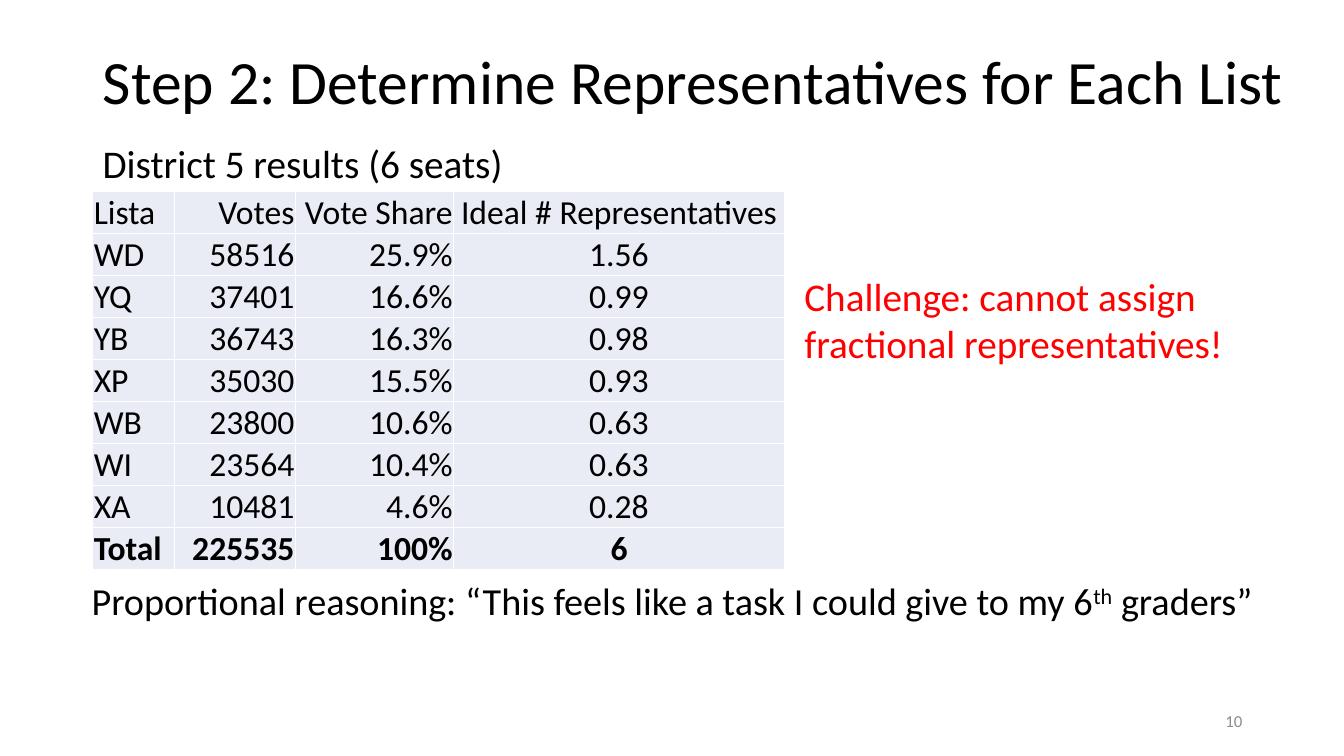
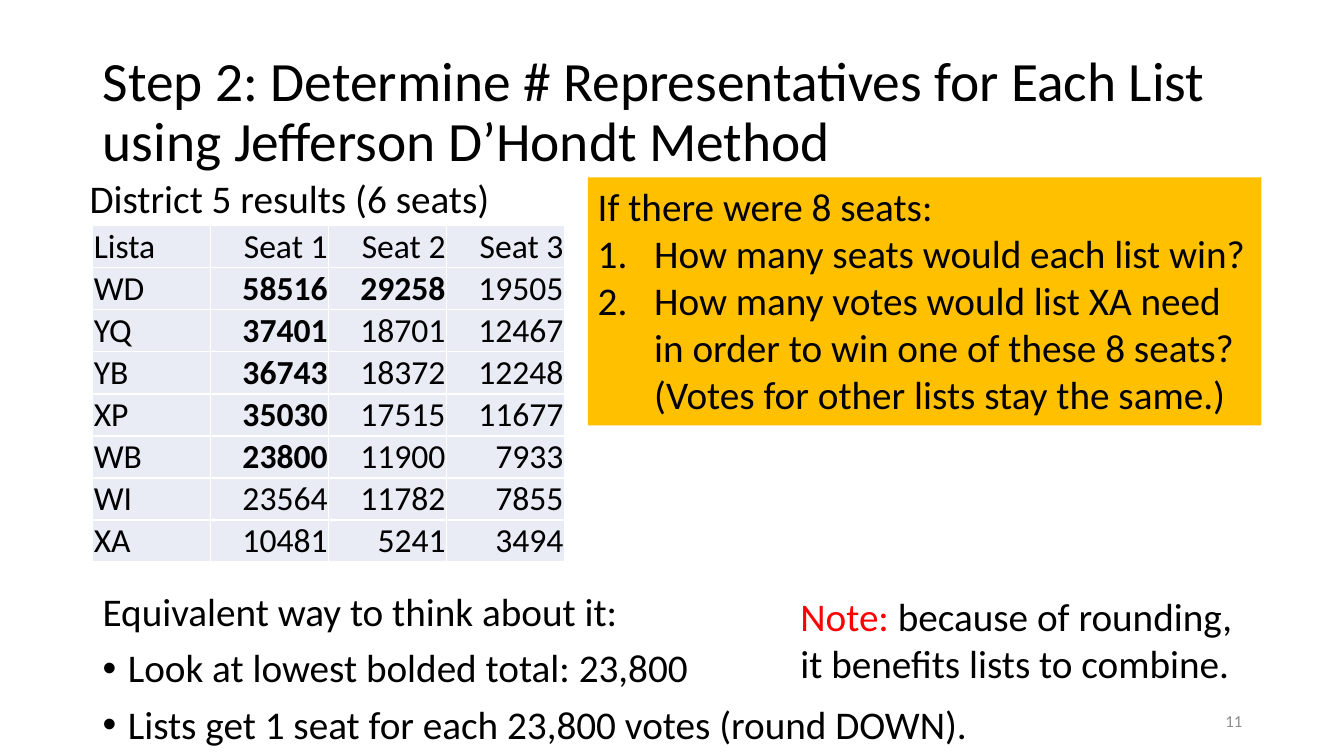
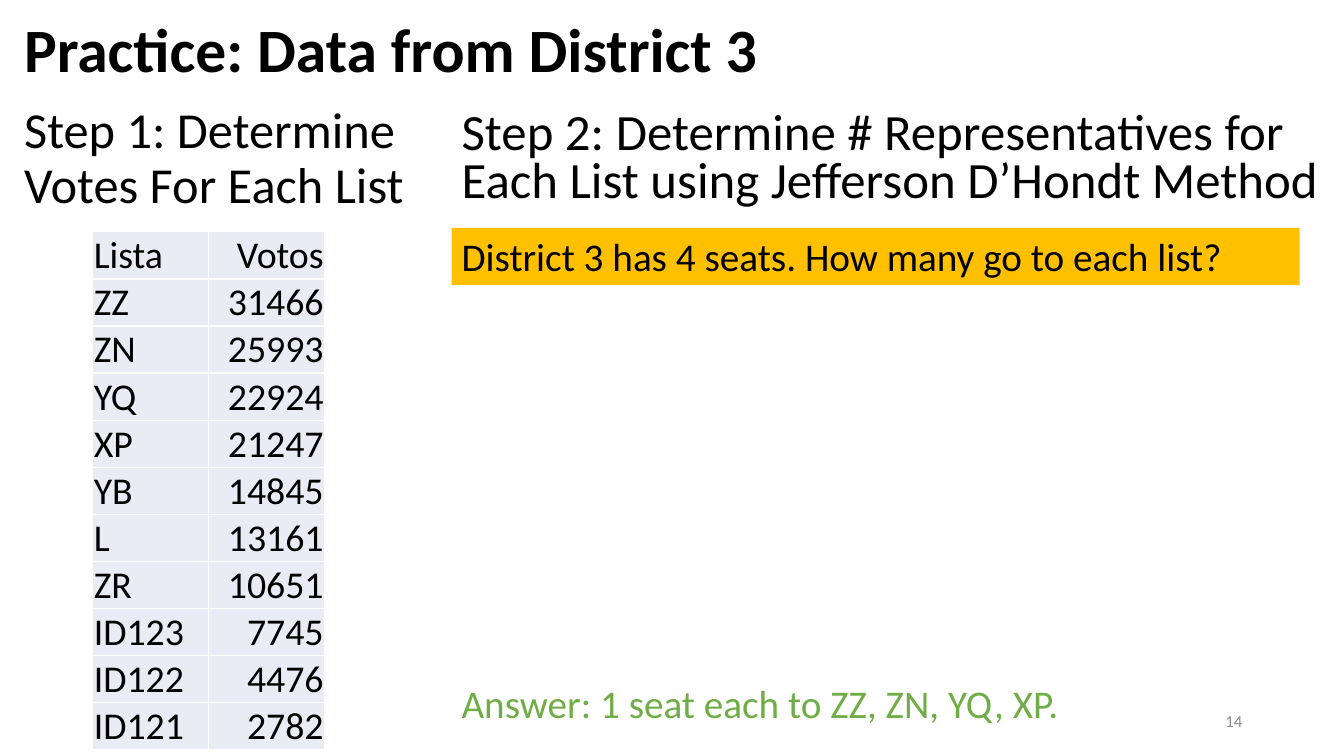
from dataclasses import dataclass

from lxml import etree
from pptx import Presentation
from pptx.dml.color import RGBColor
from pptx.enum.shapes import MSO_SHAPE
from pptx.enum.text import MSO_ANCHOR, MSO_AUTO_SIZE, PP_ALIGN
from pptx.oxml.ns import qn
from pptx.util import Inches, Pt

LEFT, CENTER, RIGHT = PP_ALIGN.LEFT, PP_ALIGN.CENTER, PP_ALIGN.RIGHT
TOP, MIDDLE, BOTTOM = MSO_ANCHOR.TOP, MSO_ANCHOR.MIDDLE, MSO_ANCHOR.BOTTOM
RECT, NO_FIT = MSO_SHAPE.RECTANGLE, MSO_AUTO_SIZE.NONE

FONT = "Calibri"
BLACK, WHITE, RED, GREEN = "000000", "FFFFFF", "FF0000", "70AD47"
GRAY, GOLD, PALE = "8C8C8C", "FFC000", "E9EBF5"
TITLE_ONLY = 5


@dataclass
class Run:
    text: str
    color: str = ""
    sup: bool = False


@dataclass
class Para:
    runs: str | list[Run]
    bullet: str = ""  # "dot" or "num"
    before: float = 0


@dataclass
class Block:
    box: tuple[float, float, float, float]
    paras: list[Para]
    size: float = 28
    color: str = BLACK
    anchor: MSO_ANCHOR = TOP
    align: PP_ALIGN = LEFT
    space: float = 1
    bold: bool = False
    fill: str = ""


@dataclass
class Grid:
    left: float
    top: float
    cols: list[float]
    height: float
    size: float
    aligns: list[PP_ALIGN]
    rows: list[list[str]]
    bold: set[tuple[int, int]]


def rgb(code: str) -> RGBColor:
    return RGBColor.from_string(code)


def style(font, size: float, color: str, bold: bool = False) -> None:
    font.name, font.size, font.bold = FONT, Pt(size), bold
    font.color.rgb = rgb(color)


def add_bullet(par, kind: str) -> None:
    props = par._p.get_or_add_pPr()
    indent = Inches(0.25 if kind == "dot" else 0.56)
    props.set("marL", str(indent))
    props.set("indent", str(-indent))
    if kind == "dot":
        etree.SubElement(props, qn("a:buFont"), typeface="Arial")
        etree.SubElement(props, qn("a:buChar"), char="•")
    else:
        etree.SubElement(props, qn("a:buFont"), typeface="+mj-lt")
        etree.SubElement(props, qn("a:buAutoNum"), type="arabicPeriod")


def write(shape, block: Block) -> None:
    frame = shape.text_frame
    frame.word_wrap, frame.auto_size = True, NO_FIT
    frame.vertical_anchor = block.anchor
    for i, para in enumerate(block.paras):
        par = frame.add_paragraph() if i else frame.paragraphs[0]
        if para.bullet:
            add_bullet(par, para.bullet)
        par.alignment = block.align
        par.line_spacing = block.space
        if para.before:
            par.space_before = Pt(para.before)
        style(par.font, block.size, block.color, block.bold)
        if isinstance(para.runs, str):
            par.text = para.runs
            continue
        for part in para.runs:
            run = par.add_run()
            run.text = part.text
            if part.color:
                run.font.color.rgb = rgb(part.color)
            if part.sup:
                run._r.get_or_add_rPr().set("baseline", "30000")


def add_block(slide, block: Block) -> None:
    box = [Inches(n) for n in block.box]
    if block.fill:
        shape = slide.shapes.add_shape(RECT, *box)
        shape.shadow.inherit = False
        shape.fill.solid()
        shape.fill.fore_color.rgb = rgb(block.fill)
        shape.line.fill.background()
    else:
        shape = slide.shapes.add_textbox(*box)
    write(shape, block)


def add_border(cell) -> None:
    props = cell._tc.get_or_add_tcPr()
    for side in ("lnL", "lnR", "lnT", "lnB"):
        line = etree.SubElement(props, qn(f"a:{side}"), w=str(Pt(1)))
        fill = etree.SubElement(line, qn("a:solidFill"))
        etree.SubElement(fill, qn("a:srgbClr"), val=WHITE)


def add_grid(slide, grid: Grid) -> None:
    count = len(grid.rows)
    table = slide.shapes.add_table(
        count, len(grid.cols), Inches(grid.left), Inches(grid.top),
        Inches(sum(grid.cols)), Inches(grid.height * count)).table
    table.first_row = table.horz_banding = False
    for col, width in zip(table.columns, grid.cols):
        col.width = Inches(width)
    for r, row in enumerate(grid.rows):
        table.rows[r].height = Inches(grid.height)
        for c, text in enumerate(row):
            cell = table.cell(r, c)
            add_border(cell)
            cell.fill.solid()
            cell.fill.fore_color.rgb = rgb(PALE)
            cell.vertical_anchor = BOTTOM
            cell.margin_left = cell.margin_right = Inches(0.01)
            cell.margin_top, cell.margin_bottom = Inches(0.01), 0
            par = cell.text_frame.paragraphs[0]
            par.text = text
            par.alignment = grid.aligns[c]
            style(par.font, grid.size, BLACK, (r, c) in grid.bold)


def add_page(deck, title: Block, number: int, grid: Grid,
             blocks: list[Block]) -> None:
    slide = deck.slides.add_slide(deck.slide_layouts[TITLE_ONLY])
    head = slide.shapes.title
    head.left, head.top, head.width, head.height = map(Inches, title.box)
    write(head, title)
    add_grid(slide, grid)
    page = Block((9.42, 6.95, 3, 0.4), [Para(str(number))], size=12,
                 color=GRAY, anchor=MIDDLE, align=RIGHT)
    for block in [*blocks, page]:
        add_block(slide, block)


def heading(box: tuple[float, float, float, float], text: str, size: float,
            space: float = 0.9, bold: bool = False) -> Block:
    return Block(box, [Para(text)], size, anchor=MIDDLE, space=space,
                 bold=bold)


# District 5 figures
VOTES = {"WD": 58516, "YQ": 37401, "YB": 36743, "XP": 35030,
         "WB": 23800, "WI": 23564, "XA": 10481}
SEATS, LOWEST = 6, 23800
TOTAL = sum(VOTES.values())
RESULTS = "District 5 results (6 seats)"

# District 3 figures
LISTS = {"ZZ": 31466, "ZN": 25993, "YQ": 22924, "XP": 21247, "YB": 14845,
         "L": 13161, "ZR": 10651, "ID123": 7745, "ID122": 4476,
         "ID121": 2782}


def share_grid() -> Grid:
    rows = [["Lista", "Votes", "Vote Share", "Ideal # Representatives"]]
    rows += [[name, str(n), f"{n / TOTAL:.1%}", f"{SEATS * n / TOTAL:.2f}"]
             for name, n in VOTES.items()]
    rows.append(["Total", str(TOTAL), "100%", str(SEATS)])
    last = {(len(rows) - 1, c) for c in range(4)}
    return Grid(0.92, 1.9, [0.81, 1.2, 1.57, 3.28], 0.41, 24,
                [LEFT, RIGHT, RIGHT, CENTER], rows, last)


def seat_grid() -> Grid:
    rows, bold = [["Lista", "Seat 1", "Seat 2", "Seat 3"]], set()
    for r, (name, n) in enumerate(VOTES.items(), 1):
        # Quotients, with halves rounded up
        parts = [(2 * n + d) // (2 * d) for d in (1, 2, 3)]
        rows.append([name, *map(str, parts)])
        bold |= {(r, c) for c, q in enumerate(parts, 1) if q >= LOWEST}
    return Grid(0.92, 2.24, [1.17] * 4, 0.41, 24,
                [LEFT, RIGHT, RIGHT, RIGHT], rows, bold)


def list_grid() -> Grid:
    rows = [["Lista", "Votos"]] + [[k, str(n)] for k, n in LISTS.items()]
    return Grid(0.92, 2.3, [1.15] * 2, 0.46, 27, [LEFT, RIGHT], rows, set())


def main() -> None:
    deck = Presentation()
    deck.slide_width, deck.slide_height = Inches(13.33), Inches(7.5)

    # Ideal shares
    add_page(
        deck,
        heading((0.92, 0.11, 12.05, 1.45),
                "Step 2: Determine Representatives for Each List", 44),
        10, share_grid(),
        [Block((0.81, 5.26, 12.05, 1.45), [Para([
            Run("Proportional reasoning: “This feels like a task "
                "I could give to my 6"),
            Run("th", sup=True), Run(" graders”")])],
            size=27.3, anchor=MIDDLE, space=0.9),
         Block((0.92, 1.33, 4.22, 0.57), [Para(RESULTS)]),
         Block((7.88, 2.65, 4.54, 1.04), [Para(
             "Challenge: cannot assign fractional representatives!")],
             color=RED)])

    # Seats by quotient
    add_page(
        deck,
        heading((0.92, 0.4, 11.9, 1.45),
                "Step 2: Determine # Representatives for Each List\v"
                "using Jefferson D’Hondt Method", 39.6),
        11, seat_grid(),
        [Block((0.79, 1.68, 4.22, 0.57), [Para(RESULTS)]),
         Block((0.92, 5.83, 8.84, 1.65), [
             Para("Equivalent way to think about it:"),
             Para("Look at lowest bolded total: 23,800", "dot", 10),
             Para("Lists get 1 seat for each 23,800 votes (round DOWN).",
                  "dot", 10)], space=0.9),
         Block((7.84, 5.83, 4.58, 1.04), [Para([
             Run("Note: ", RED),
             Run("because of rounding, it benefits lists to combine.")])]),
         Block((5.83, 1.76, 6.68, 2.46), [
             Para("If there were 8 seats:"),
             Para("How many seats would each list win?", "num"),
             Para("How many votes would list XA need in order to win one of "
                  "these 8 seats? (Votes for other lists stay the same.)",
                  "num")], fill=GOLD)])

    # Practice
    add_page(
        deck,
        heading((0.14, 0.86, 4.96, 1.45),
                "Step 1: Determine\vVotes For Each List", 36),
        14, list_grid(),
        [Block((4.48, 2.26, 8.41, 0.57), [Para(
            "District 3 has 4 seats. How many go to each list?")], fill=GOLD),
         heading((4.48, 0.86, 8.85, 1.45),
                 "Step 2: Determine # Representatives for Each List using "
                 "Jefferson D’Hondt Method", 36.3, space=0.8),
         Block((4.48, 6.69, 6.32, 0.57), [Para(
             "Answer: 1 seat each to ZZ, ZN, YQ, XP.")], color=GREEN),
         heading((0.14, -0.2, 11.5, 1.45),
                 "Practice: Data from District 3", 44, bold=True)])

    deck.save("out.pptx")


if __name__ == "__main__":
    main()
